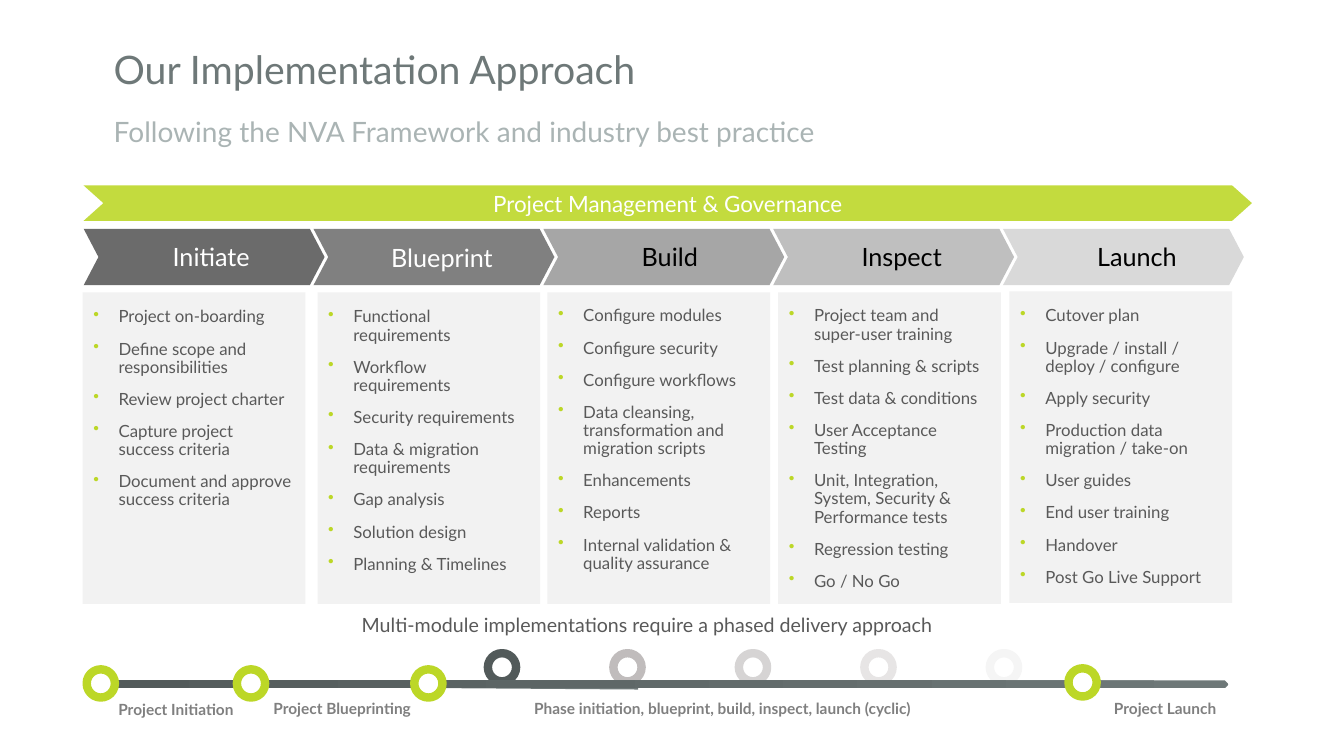
from dataclasses import dataclass

import pptx
import pptx.dml.color
import pptx.enum.shapes
import pptx.enum.text
import pptx.oxml.ns
import pptx.util
from lxml import etree

MSO_SHAPE = pptx.enum.shapes.MSO_SHAPE
ALIGN = pptx.enum.text.PP_ALIGN
ANCHOR = pptx.enum.text.MSO_ANCHOR
qn = pptx.oxml.ns.qn


@dataclass(frozen=True)
class Theme:
    font: str = "Lato"
    title: str = "6E7878"
    subtitle: str = "AAB4B4"
    accent: str = "BCD727"
    body: str = "595959"
    milestone: str = "7F7F7F"
    panel: str = "F2F2F2"
    dark: str = "525A5A"
    white: str = "FFFFFF"
    black: str = "000000"
    title_size: int = 28
    subtitle_size: int = 20
    phase_size: int = 18
    banner_size: int = 16
    note_size: int = 14
    list_size: int = 12
    milestone_size: int = 11


@dataclass(frozen=True)
class Phase:
    name: str
    fill: str
    text: str
    label_centre: float
    label_top: float
    panel_left: float
    panel_top: float
    list_top: float
    tasks: tuple
    opacity: int = 100


def rgb(value):
    return pptx.dml.color.RGBColor.from_string(value)


class Board:
    """Draws on one slide; every length is in cells of a 160 by 90 grid."""

    CELL = pptx.util.Inches(1) // 12

    def __init__(self, deck, theme):
        self.theme = theme
        deck.slide_width, deck.slide_height = 160 * self.CELL, 90 * self.CELL
        self.shapes = deck.slides.add_slide(deck.slide_layouts[6]).shapes

    def cells(self, *lengths):
        return [round(length * self.CELL) for length in lengths]

    def shape(self, kind, box, fill, opacity=100, adjust=None):
        shape = self.shapes.add_shape(kind, *self.cells(*box))
        shape.shadow.inherit = False
        shape.line.fill.background()
        shape.fill.solid()
        shape.fill.fore_color.rgb = rgb(fill)
        if opacity < 100:
            colour = shape.element.spPr.find(".//" + qn("a:srgbClr"))
            etree.SubElement(colour, qn("a:alpha"), val=str(opacity * 1000))
        if adjust is not None:
            shape.adjustments[0] = adjust
        return shape

    def fill_text(self, frame, lines, size, colour, align=ALIGN.LEFT, bold=False,
                  anchor=ANCHOR.TOP, spacing=0.9, bullets=False):
        frame.word_wrap = True
        frame.vertical_anchor = anchor
        for index, line in enumerate(lines):
            paragraph = frame.add_paragraph() if index else frame.paragraphs[0]
            paragraph.text = line
            if bullets:
                self.bullet(paragraph)
            paragraph.alignment = align
            paragraph.line_spacing = spacing
            if index:
                paragraph.space_before = pptx.util.Pt(10)
            font = paragraph.font
            font.name, font.size, font.bold = self.theme.font, pptx.util.Pt(size), bold
            font.color.rgb = rgb(colour)

    def bullet(self, paragraph):
        properties = paragraph._p.get_or_add_pPr()
        indent = self.cells(3)[0]
        properties.set("marL", str(indent))
        properties.set("indent", str(-indent))
        colour = etree.SubElement(properties, qn("a:buClr"))
        etree.SubElement(colour, qn("a:srgbClr"), val=self.theme.accent)
        etree.SubElement(properties, qn("a:buChar"), char="•")

    def text(self, box, lines, size, colour, **style):
        frame = self.shapes.add_textbox(*self.cells(*box)).text_frame
        self.fill_text(frame, lines, size, colour, **style)

    def ring(self, left, top, colour):
        ring = self.shape(MSO_SHAPE.OVAL, (left, top, 3.36, 3.36), self.theme.white)
        ring.line.color.rgb = rgb(colour)
        ring.line.width = pptx.util.Pt(6)

    def line(self, start, end, colour):
        line = self.shapes.add_connector(
            pptx.enum.shapes.MSO_CONNECTOR.STRAIGHT, *self.cells(*start, *end))
        line.line.color.rgb = rgb(colour)
        line.line.width = pptx.util.Pt(3)
        etree.SubElement(line._element.spPr, qn("a:effectLst"))

    def gradient_bar(self, box, first, last):
        bar = self.shape(MSO_SHAPE.CHEVRON, box, first)
        bar.fill.gradient()
        bar.fill.gradient_angle = 180
        for stop, colour in zip(bar.fill.gradient_stops, (first, last)):
            stop.color.rgb = rgb(colour)

    def phase(self, index, phase):
        theme = self.theme
        self.shape(MSO_SHAPE.CHEVRON, (9.96 + 27.36 * index, 27.24, 28.68, 6.72),
                   phase.fill, phase.opacity, adjust=0.262)
        self.text((phase.label_centre - 12.3, phase.label_top, 24.6, 4.8), [phase.name],
                  theme.phase_size, phase.text, align=ALIGN.CENTER, spacing=1.0)
        self.shape(MSO_SHAPE.RECTANGLE,
                   (phase.panel_left, phase.panel_top, 26.52, 37.08), theme.panel)
        self.text((phase.panel_left + 0.1, phase.list_top, 26.04, 34), phase.tasks,
                  theme.list_size, theme.body, bullets=True)


THEME = Theme()
PHASES = (
    Phase("Initiate", "595959", THEME.white, 25.14, 28.08, 9.84, 34.8, 36.12, (
        "Project on-boarding", "Define scope and responsibilities",
        "Review project charter", "Capture project success criteria",
        "Document and approve success criteria"), opacity=89),
    Phase("Blueprint", "808080", THEME.white, 52.62, 28.25, 37.8, 34.8, 36.12, (
        "Functional requirements", "Workflow requirements", "Security requirements",
        "Data & migration requirements", "Gap analysis", "Solution design",
        "Planning & Timelines")),
    Phase("Build", "A6A6A6", THEME.black, 79.74, 28.08, 65.16, 34.8, 36, (
        "Configure modules", "Configure security", "Configure workflows",
        "Data cleansing, transformation and migration scripts", "Enhancements",
        "Reports", "Internal validation & quality assurance")),
    Phase("Inspect", "BFBFBF", THEME.black, 107.34, 28.08, 92.64, 34.8, 36, (
        "Project team and super-user training", "Test planning & scripts",
        "Test data & conditions", "User Acceptance Testing",
        "Unit, Integration, System, Security & Performance tests",
        "Regression testing", "Go / No Go")),
    Phase("Launch", "D9D9D9", THEME.black, 135.36, 28.08, 120.18, 34.7, 36, (
        "Cutover plan", "Upgrade / install / deploy / configure", "Apply security",
        "Production data migration / take-on", "User guides", "End user training",
        "Handover", "Post Go Live Support")),
)
CYCLE_COLOURS = (THEME.dark, "C0BCBC", "D6D4D4", "E7E5E5", "F5F5F5")
MILESTONE_RINGS = ((10.32, 79.68), (28.2, 79.68), (49.32, 79.68), (127.2, 79.56))
MILESTONES = (
    ("Project Initiation", 9.85, 82.92, 22.2),
    ("Project Blueprinting", 29.64, 82.8, 22.2),
    ("Phase initiation, blueprint, build, inspect, launch (cyclic)", 58.08, 82.8, 55.92),
    ("Project Launch", 129.96, 82.8, 17.52),
)


def main():
    deck = pptx.Presentation()
    board = Board(deck, THEME)

    board.text((12.36, 4.8, 113.16, 7.56), ["Our Implementation Approach"],
               THEME.title_size, THEME.title, anchor=ANCHOR.MIDDLE)
    board.text((12.36, 13.32, 142.68, 5.16),
               ["Following the NVA Framework and industry best practice"],
               THEME.subtitle_size, THEME.subtitle, anchor=ANCHOR.MIDDLE)

    governance = board.shape(MSO_SHAPE.CHEVRON, (9.96, 22.08, 139.08, 4.2),
                             THEME.accent, opacity=89, adjust=0.56)
    board.fill_text(governance.text_frame, ["Project Management & Governance"],
                    THEME.banner_size, THEME.white, align=ALIGN.CENTER,
                    anchor=ANCHOR.MIDDLE, spacing=1.0)

    for index, phase in enumerate(PHASES):
        board.phase(index, phase)

    board.text((25.7, 72.72, 102.72, 3.96),
               ["Multi-module implementations require a phased delivery approach"],
               THEME.note_size, THEME.body, align=ALIGN.CENTER)

    board.line((10.08, 81.36), (75.96, 81.84), THEME.title)
    for index, colour in enumerate(CYCLE_COLOURS):
        board.ring(58.08 + 14.94 * index, 77.76, colour)
    board.gradient_bar((13.68, 81, 132.6, 0.96), THEME.title, THEME.dark)
    for left, top in MILESTONE_RINGS:
        board.ring(left, top, THEME.accent)
    for name, left, top, width in MILESTONES:
        board.text((left, top, width, 3.36), [name], THEME.milestone_size,
                   THEME.milestone, align=ALIGN.CENTER, bold=True, anchor=ANCHOR.MIDDLE)

    deck.save("out.pptx")


if __name__ == "__main__":
    main()
